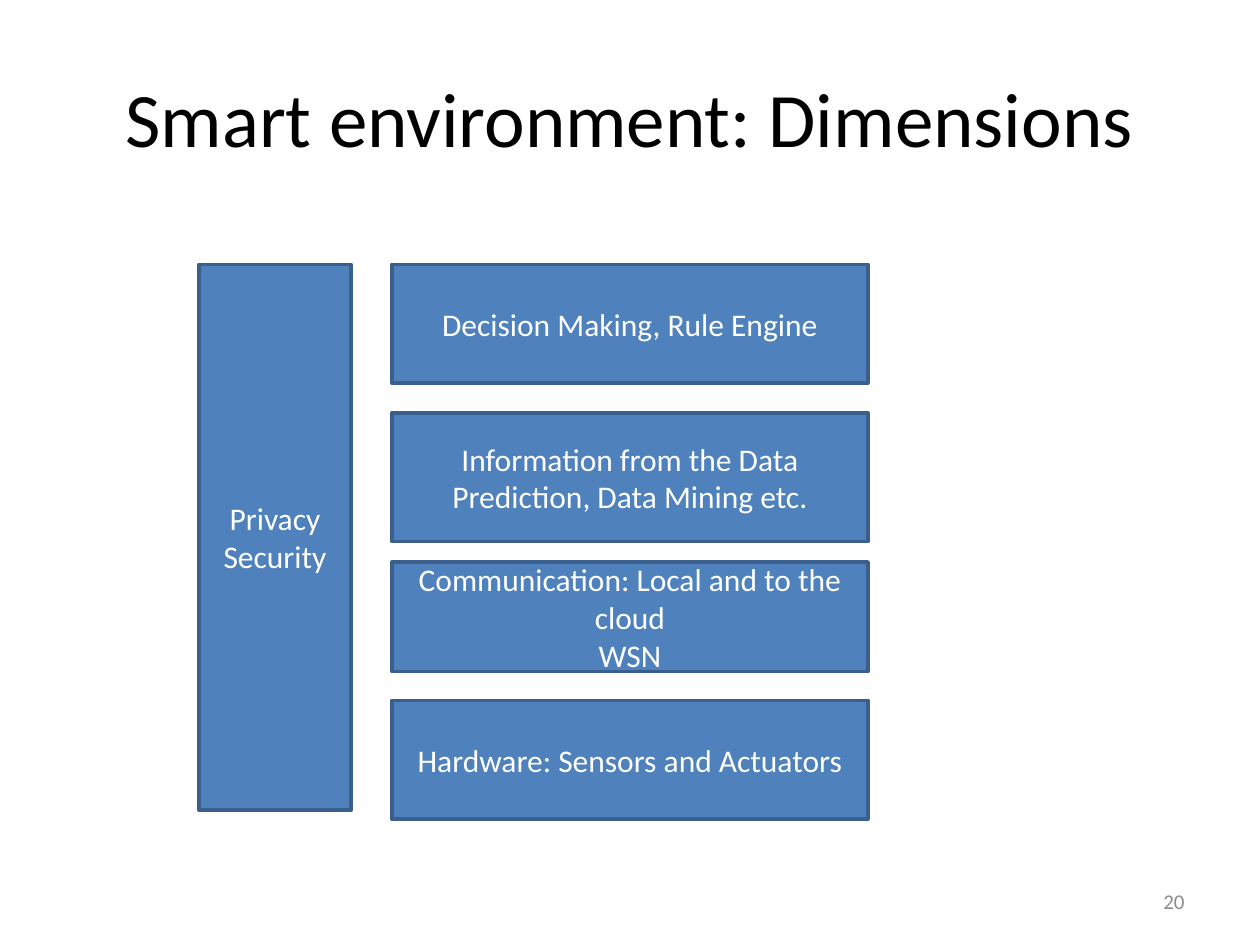
import pptx
import pptx.util
from pptx.dml.color import RGBColor
from pptx.enum.shapes import MSO_SHAPE
from pptx.enum.text import MSO_ANCHOR, PP_ALIGN
from pptx.util import Cm

BLACK = RGBColor(0x00, 0x00, 0x00)
WHITE = RGBColor(0xFF, 0xFF, 0xFF)
GREY = RGBColor(0x8C, 0x8C, 0x8C)
BLUE = RGBColor(0x4F, 0x81, 0xBD)
DARK_BLUE = RGBColor(0x3A, 0x5F, 0x8C)

# Positions are left, top, width, height in centimetres.
TITLE = ("Smart environment: Dimensions", (1.27, 0.76, 22.86, 3.18))
PAGE_NUMBER = ("20", (18.21, 17.65, 5.92, 1.02))
CROSS_CUTTING = (["Privacy", "Security"], (4.01, 5.33, 3.07, 11))

LAYER_LEFT, LAYER_WIDTH = 7.9, 9.6
LAYERS = [  # lines, top, height
    (["Decision Making, Rule Engine"], 5.33, 2.39),
    (["Information from the Data", "Prediction, Data Mining etc."], 8.33, 2.59),
    (["Communication: Local and to the cloud", "WSN"], 11.33, 2.21),
    (["Hardware: Sensors and Actuators"], 14.12, 2.39),
]


def write_lines(shape, lines, size, color, alignment=PP_ALIGN.CENTER):
    frame = shape.text_frame
    frame.word_wrap = True
    frame.vertical_anchor = MSO_ANCHOR.MIDDLE
    frame.text = "\n".join(lines)
    font_format = {"name": "Calibri", "size": pptx.util.Pt(size)}
    for paragraph in frame.paragraphs:
        paragraph.alignment = alignment
        for name, value in font_format.items():
            setattr(paragraph.font, name, value)
        paragraph.font.color.rgb = color


def add_label(slide, text, position, *text_format):
    box = slide.shapes.add_textbox(*map(Cm, position))
    write_lines(box, [text], *text_format)


def add_block(slide, lines, position):
    block = slide.shapes.add_shape(MSO_SHAPE.RECTANGLE, *map(Cm, position))
    block.shadow.inherit = False
    block.fill.solid()
    block.fill.fore_color.rgb = BLUE
    block.line.color.rgb = DARK_BLUE
    block.line.width = pptx.util.Pt(2)
    write_lines(block, lines, 18, WHITE)


def main():
    presentation = pptx.Presentation()
    presentation.slide_width = Cm(25.4)
    presentation.slide_height = Cm(19.05)
    slide = presentation.slides.add_slide(presentation.slide_layouts[6])

    add_label(slide, *TITLE, 44, BLACK)
    for lines, top, height in reversed(LAYERS):
        add_block(slide, lines, (LAYER_LEFT, top, LAYER_WIDTH, height))
    add_block(slide, *CROSS_CUTTING)
    add_label(slide, *PAGE_NUMBER, 12, GREY, PP_ALIGN.RIGHT)
    presentation.save("out.pptx")


if __name__ == "__main__":
    main()
